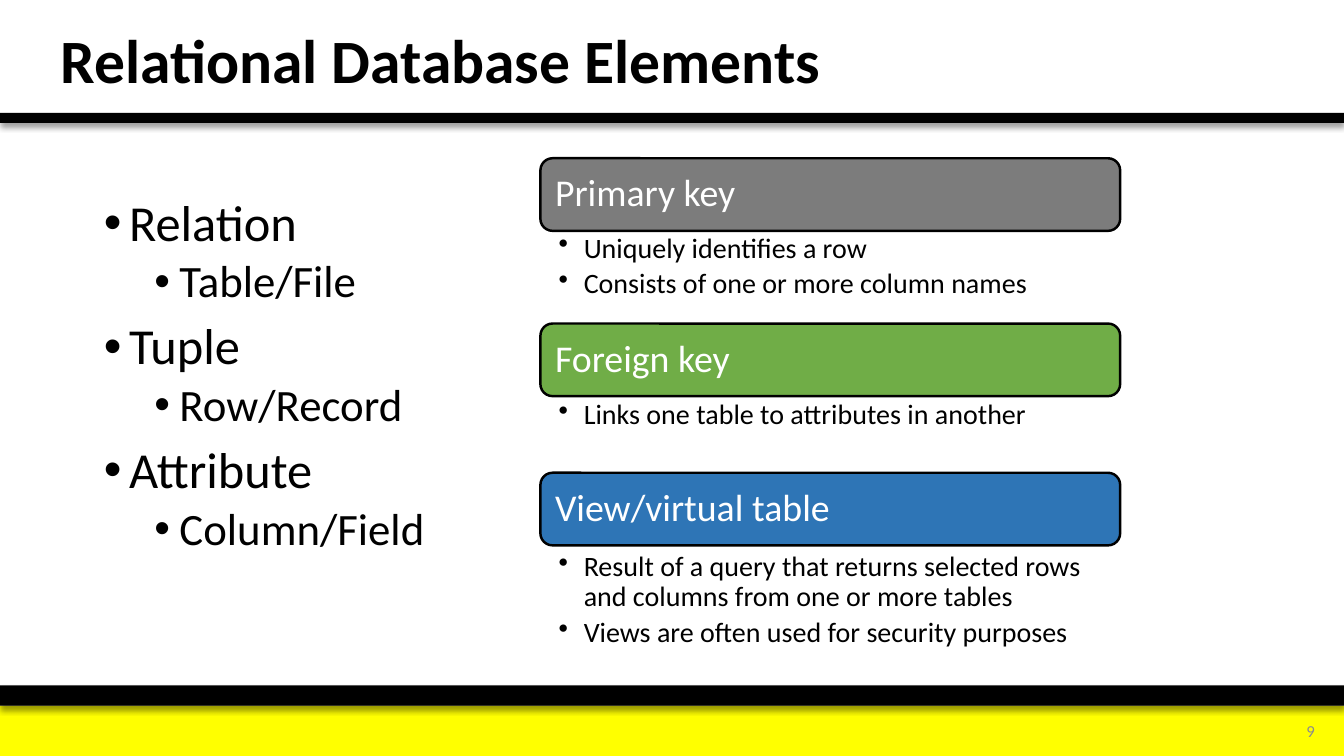
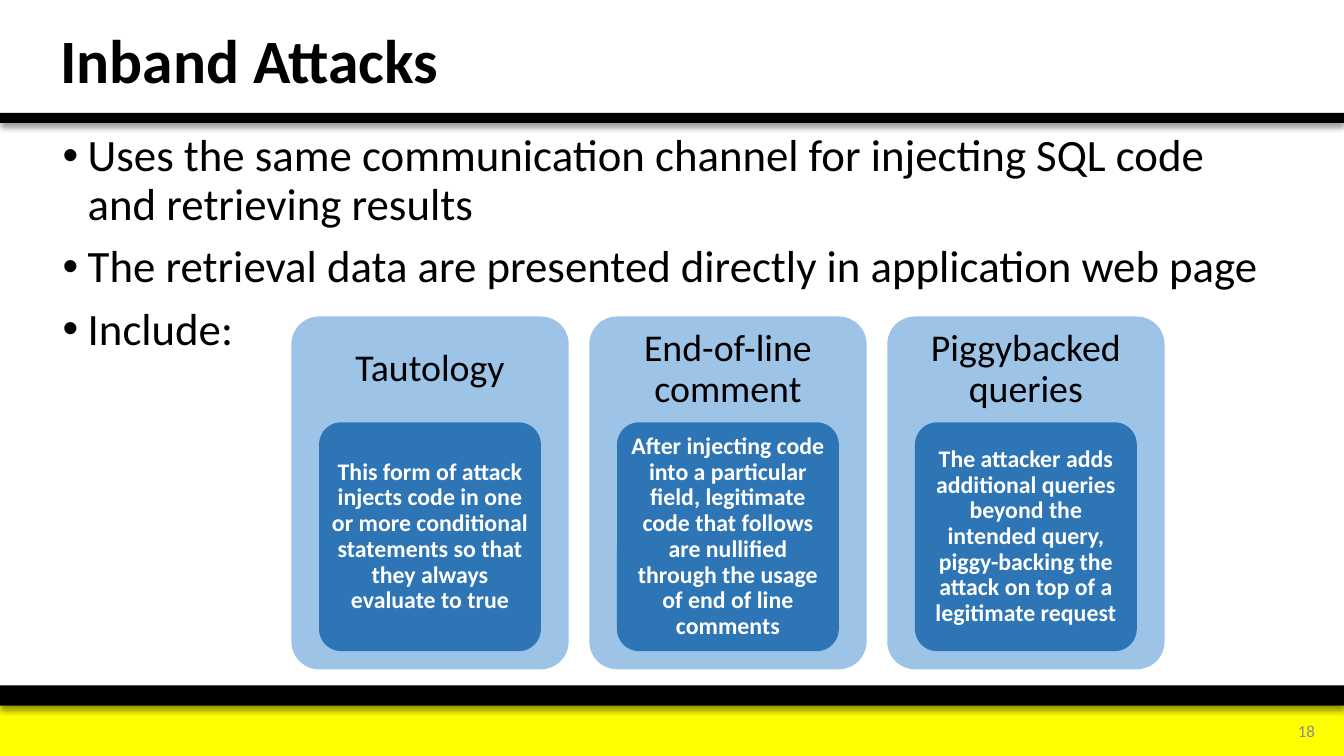
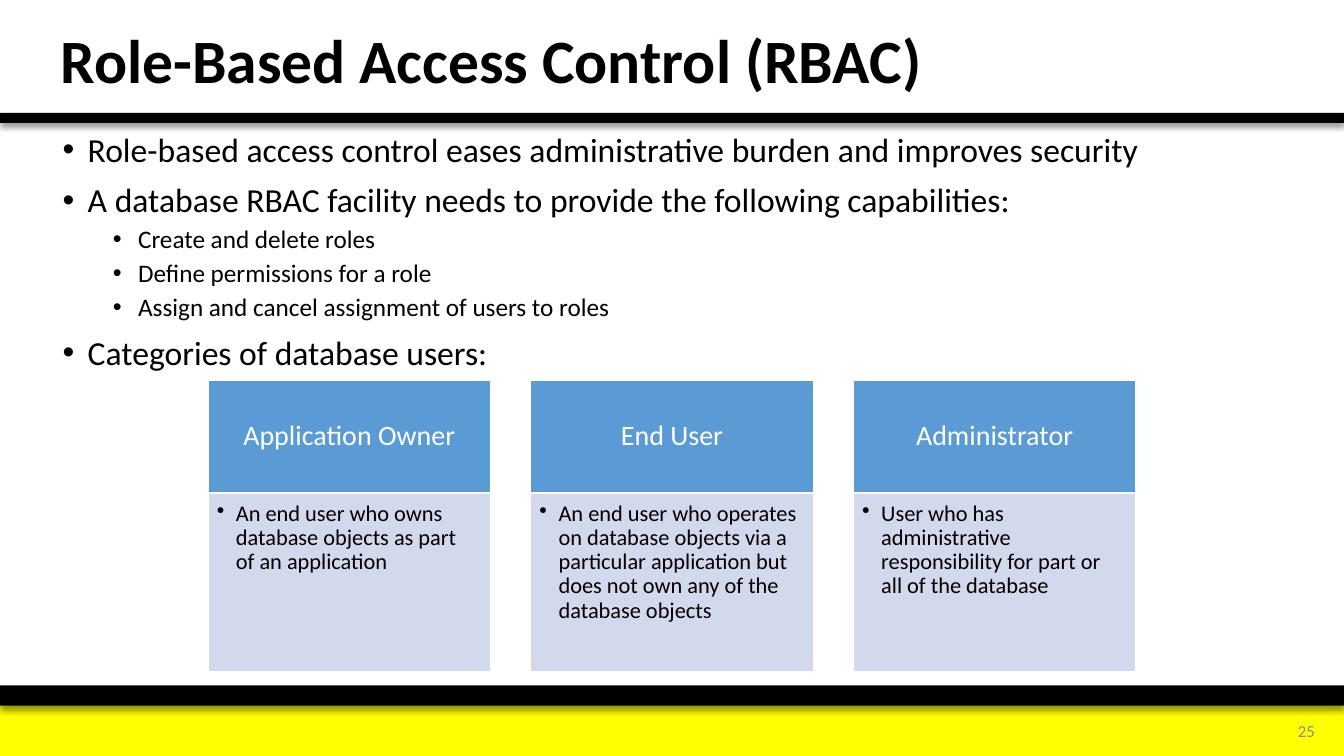
from lxml import etree
from pptx import Presentation
from pptx.dml.color import RGBColor
from pptx.enum.shapes import MSO_SHAPE
from pptx.enum.text import MSO_ANCHOR, MSO_AUTO_SIZE, PP_ALIGN
from pptx.oxml.ns import qn
from pptx.util import Inches, Pt

RECT, ROUND = MSO_SHAPE.RECTANGLE, MSO_SHAPE.ROUNDED_RECTANGLE
TOP, MIDDLE = MSO_ANCHOR.TOP, MSO_ANCHOR.MIDDLE
LEFT, CENTER, RIGHT = PP_ALIGN.LEFT, PP_ALIGN.CENTER, PP_ALIGN.RIGHT

FONT = "Calibri"
BLACK = RGBColor(0x00, 0x00, 0x00)
WHITE = RGBColor(0xFF, 0xFF, 0xFF)
YELLOW = RGBColor(0xFF, 0xFF, 0x00)
NUMBER_GRAY = RGBColor(0x8C, 0x8C, 0x8C)
KEY_GRAY = RGBColor(0x7C, 0x7C, 0x7C)
GREEN = RGBColor(0x70, 0xAD, 0x47)
DEEP_BLUE = RGBColor(0x2E, 0x75, 0xB6)
LIGHT_BLUE = RGBColor(0x9D, 0xC3, 0xE6)
MID_BLUE = RGBColor(0x5B, 0x9B, 0xD5)
PALE_BLUE = RGBColor(0xCF, 0xD5, 0xEA)

SLIDE_W, SLIDE_H = 13.33, 7.5
DEFAULT_INSETS = (0.1, 0.05, 0.1, 0.05)


# Text helpers
def set_frame(frame, anchor=TOP, insets=DEFAULT_INSETS):
    frame.word_wrap = True
    frame.auto_size = MSO_AUTO_SIZE.NONE
    frame.vertical_anchor = anchor
    (frame.margin_left, frame.margin_top,
     frame.margin_right, frame.margin_bottom) = [Inches(v) for v in insets]


def add_bullet(paragraph, left, hanging):
    props = paragraph._p.get_or_add_pPr()
    props.set("marL", str(Inches(left)))
    props.set("indent", str(-Inches(hanging)))
    etree.SubElement(props, qn("a:buChar")).set("char", "•")


def format_paragraph(paragraph, size, color, bold=False, align=LEFT):
    paragraph.alignment = align
    paragraph.line_spacing = 0.9
    for run in paragraph.runs:
        run.font.name = FONT
        run.font.size = Pt(size)
        run.font.bold = bold
        run.font.color.rgb = color


def write_text(frame, text, size, color, bold=False, align=LEFT):
    frame.text = text
    format_paragraph(frame.paragraphs[0], size, color, bold, align)


def write_bullets(frame, lines, size, hanging, space_after=0):
    frame.text = "\n".join(lines)
    for paragraph in frame.paragraphs:
        add_bullet(paragraph, hanging, hanging)
        format_paragraph(paragraph, size, BLACK)
        paragraph.space_after = Pt(space_after)


# Shape helpers
def place(shape, box):
    shape.left, shape.top, shape.width, shape.height = [Inches(v) for v in box]


def add_panel(slide, kind, box, fill, line=None, line_width=1.5):
    panel = slide.shapes.add_shape(kind, *[Inches(v) for v in box])
    panel.shadow.inherit = False
    panel.fill.solid()
    panel.fill.fore_color.rgb = fill
    if line is None:
        panel.line.fill.background()
    else:
        panel.line.color.rgb = line
        panel.line.width = Pt(line_width)
    return panel


def add_text_box(slide, box, anchor=TOP, insets=DEFAULT_INSETS):
    frame = slide.shapes.add_textbox(*[Inches(v) for v in box]).text_frame
    set_frame(frame, anchor, insets)
    return frame


def add_alpha(parent, percent):
    etree.SubElement(parent, qn("a:alpha")).set("val", str(percent * 1000))


def drop_shadow(shape):
    effects = shape._element.spPr.find(qn("a:effectLst"))
    shadow = etree.SubElement(effects, qn("a:outerShdw"), blurRad=str(Pt(4)),
                              dist=str(Pt(3)), dir="5400000", rotWithShape="0")
    color = etree.SubElement(shadow, qn("a:srgbClr"), val="000000")
    add_alpha(color, 40)


def column_boxes(box, count, width):
    left, top, total, height = box
    pitch = (total - width) / (count - 1)
    return [(left + i * pitch, top, width, height) for i in range(count)]


# Frame shared by every slide: bands, number, title
def add_framed_slide(prs, title, number):
    slide = prs.slides.add_slide(prs.slide_layouts[1])
    add_panel(slide, RECT, (0, 7, SLIDE_W, 0.5), YELLOW)
    for top, height in ((6.8, 0.2), (1.12, 0.1)):
        drop_shadow(add_panel(slide, RECT, (0, top, SLIDE_W, height), BLACK))

    number_frame = add_text_box(slide, (12.38, 7.06, 0.76, 0.4), MIDDLE)
    write_text(number_frame, str(number), 12, NUMBER_GRAY, align=RIGHT)

    heading = slide.shapes.title
    place(heading, (0.5, 0.07, 9, 1.12))
    set_frame(heading.text_frame, MIDDLE)
    write_text(heading.text_frame, title, 44, BLACK, bold=True)
    return slide


def fill_body(slide, box, lines, sizes):
    """Write (level, text) lines, with one font size for each level."""
    body = slide.placeholders[1]
    place(body, box)
    frame = body.text_frame
    set_frame(frame)
    frame.text = "\n".join(text for _, text in lines)
    for i, (paragraph, (level, _)) in enumerate(zip(frame.paragraphs, lines)):
        paragraph.level = level
        add_bullet(paragraph, 0.25 + 0.5 * level, 0.25)
        format_paragraph(paragraph, sizes[level], BLACK)
        paragraph.space_before = Pt((10, 5)[level] if i else 0)


# Regions
def add_key_sections(slide, box, sections):
    """Rounded headers, each followed by its bullet list."""
    left, top, width, _ = box
    for label, fill, header_y, list_y, list_height, lines in sections:
        header = add_panel(slide, ROUND, (left, top + header_y, width, 0.72),
                           fill, BLACK, 1.75)
        set_frame(header.text_frame, MIDDLE, (0.11,) * 4)
        write_text(header.text_frame, label, 27, WHITE)
        details = add_text_box(slide, (left, top + list_y, width, list_height),
                               insets=(0.18, 0.03, 0.16, 0.03))
        write_bullets(details, lines, 20, 0.25, space_after=4)


def add_attack_cards(slide, box, attacks):
    """Light cards with a heading above a darker inner card."""
    for card_box, (name, text) in zip(column_boxes(box, len(attacks), 2.75), attacks):
        left, top, width, _ = card_box
        card = add_panel(slide, ROUND, card_box, LIGHT_BLUE)
        card.adjustments[0] = 0.1
        set_frame(card.text_frame, MIDDLE, (0.03, 0, 0.03, 2.45))
        write_text(card.text_frame, name, 27, BLACK, align=CENTER)

        inner = add_panel(slide, ROUND,
                          (left + 0.1 * width, top + 1.05, 0.8 * width, 2.27), DEEP_BLUE)
        inner.adjustments[0] = 0.1
        set_frame(inner.text_frame, MIDDLE, (0.05, 0.04, 0.05, 0.04))
        write_text(inner.text_frame, text, 17, WHITE, bold=True, align=CENTER)


def add_user_columns(slide, box, users):
    """Blue header blocks, each on top of a pale description block."""
    header_height = 1.12
    for left, top, width, height in column_boxes(box, len(users), 2.81):
        role, text = users[role_index(left, box, width, len(users))]
        header = add_panel(slide, RECT, (left, top, width, header_height),
                           MID_BLUE, WHITE)
        set_frame(header.text_frame, MIDDLE, (0.16, 0.09, 0.16, 0.09))
        write_text(header.text_frame, role, 20, WHITE, align=CENTER)

        description = add_panel(
            slide, RECT, (left, top + header_height, width, height - header_height),
            PALE_BLUE, WHITE)
        add_alpha(description._element.spPr.find(qn("a:solidFill"))[0], 90)
        set_frame(description.text_frame, TOP, (0.09, 0.09, 0.12, 0.14))
        write_bullets(description.text_frame, [text], 16, 0.19)


def role_index(left, box, width, count):
    return round((left - box[0]) / (box[2] - width) * (count - 1))


# Slides
def build_elements_slide(prs):
    slide = add_framed_slide(prs, "Relational Database Elements", 9)
    fill_body(slide, (0.93, 1.91, 3.78, 4.68), [
        (0, "Relation"), (1, "Table/File"),
        (0, "Tuple"), (1, "Row/Record"),
        (0, "Attribute"), (1, "Column/Field"),
    ], (36, 32))
    add_key_sections(slide, (5.36, 1.57, 5.75, 4.92), [
        ("Primary key", KEY_GRAY, 0, 0.72, 0.92,
         ["Uniquely identifies a row", "Consists of one or more column names"]),
        ("Foreign key", GREEN, 1.64, 2.37, 0.92,
         ["Links one table to attributes in another"]),
        ("View/virtual table", DEEP_BLUE, 3.12, 3.88, 1.04,
         ["Result of a query that returns selected rows and columns "
          "from one or more tables",
          "Views are often used for security purposes"]),
    ])


def build_attacks_slide(prs):
    slide = add_framed_slide(prs, "Inband Attacks", 18)
    fill_body(slide, (0.52, 1.27, 12.29, 2.35), [
        (0, "Uses the same communication channel for injecting SQL code "
            "and retrieving results"),
        (0, "The retrieval data are presented directly in application web page"),
        (0, "Include:"),
    ], (32,))
    add_attack_cards(slide, (2.89, 3.14, 8.66, 3.5), [
        ("Tautology",
         "This form of attack injects code in one or more conditional "
         "statements so that they always evaluate to true"),
        ("End-of-line comment",
         "After injecting code into a particular field, legitimate code that "
         "follows are nullified through the usage of end of line comments"),
        ("Piggybacked queries",
         "The attacker adds additional queries beyond the intended query, "
         "piggy-backing the attack on top of a legitimate request"),
    ])


def build_access_slide(prs):
    slide = add_framed_slide(prs, "Role-Based Access Control (RBAC)", 25)
    fill_body(slide, (0.52, 1.27, 12.29, 2.48), [
        (0, "Role-based access control eases administrative burden "
            "and improves security"),
        (0, "A database RBAC facility needs to provide the following capabilities:"),
        (1, "Create and delete roles"),
        (1, "Define permissions for a role"),
        (1, "Assign and cancel assignment of users to roles"),
        (0, "Categories of database users:"),
    ], (24, 18))
    add_user_columns(slide, (2.06, 3.77, 9.21, 2.9), [
        ("Application Owner",
         "An end user who owns database objects as part of an application"),
        ("End User",
         "An end user who operates on database objects via a particular "
         "application but does not own any of the database objects"),
        ("Administrator",
         "User who has administrative responsibility for part or all "
         "of the database"),
    ])


def main():
    prs = Presentation()
    prs.slide_width, prs.slide_height = Inches(SLIDE_W), Inches(SLIDE_H)
    build_elements_slide(prs)
    build_attacks_slide(prs)
    build_access_slide(prs)
    prs.save("out.pptx")


if __name__ == "__main__":
    main()
